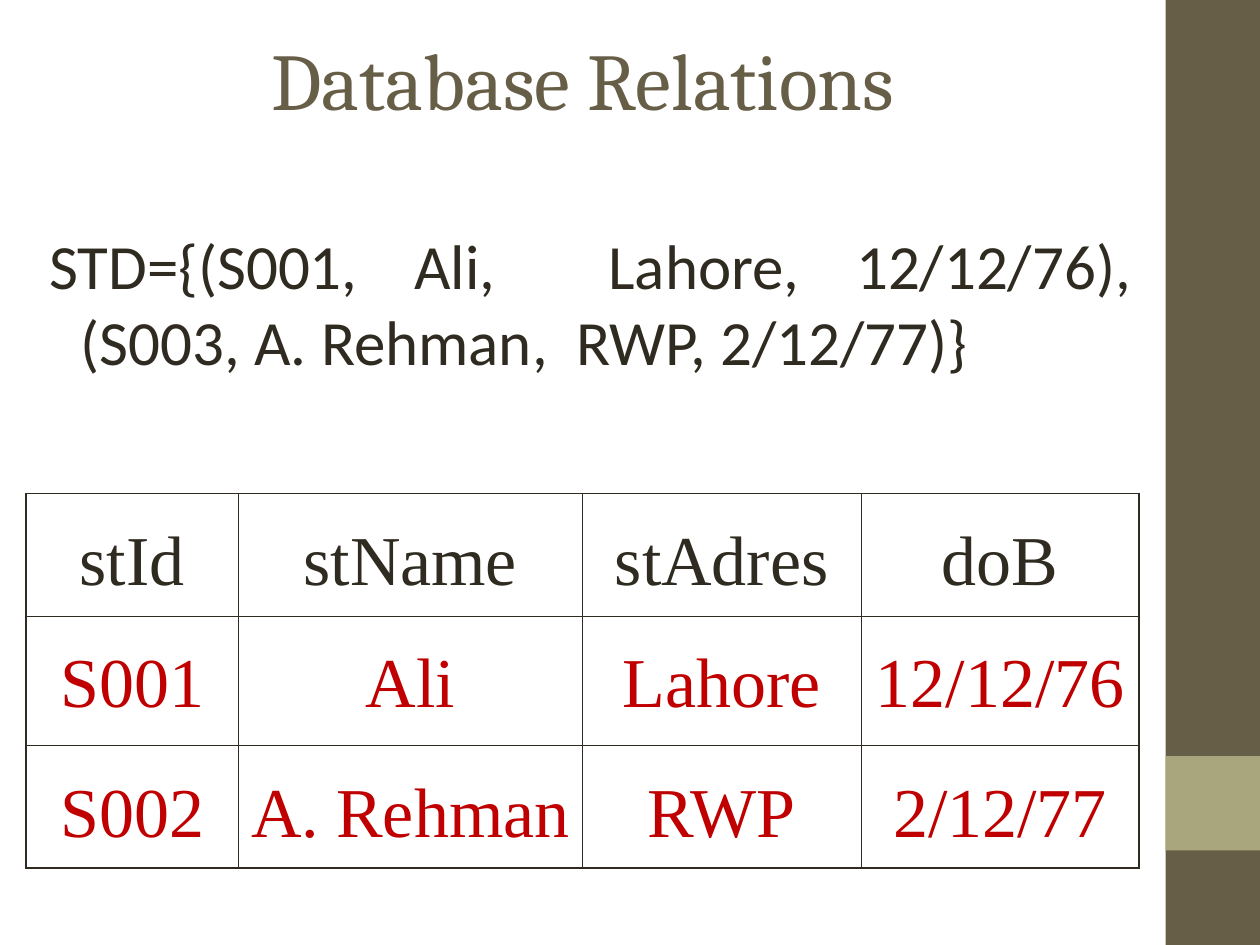
from dataclasses import dataclass

from lxml import etree
from pptx import Presentation
from pptx.dml.color import RGBColor
from pptx.enum.shapes import MSO_SHAPE
from pptx.enum.text import MSO_ANCHOR, PP_ALIGN
from pptx.oxml.ns import qn
from pptx.util import Pt

RECT = MSO_SHAPE.RECTANGLE
TOP, MIDDLE = MSO_ANCHOR.TOP, MSO_ANCHOR.MIDDLE
CENTER, JUSTIFY = PP_ALIGN.CENTER, PP_ALIGN.JUSTIFY
TITLE_ONLY = 5


@dataclass(frozen=True)
class Theme:
    brown: str = "675E47"
    olive: str = "A9A57C"
    ink: str = "2F2B20"
    red: str = "C00000"
    title_font: str = "Cambria"
    body_font: str = "Calibri"
    table_font: str = "Times New Roman"
    title_size: int = 46
    body_size: int = 36
    table_size: int = 40
    outer_line: float = 1.08
    inner_line: float = 0.45


THEME = Theme()


def set_text(tf, text, name, size, color, **para_format):
    """Write one paragraph and format it."""
    p = tf.paragraphs[0]
    r = p.add_run()
    r.text = text
    for key, value in {"alignment": CENTER, **para_format}.items():
        setattr(p, key, value)
    for key, value in {"name": name, "size": Pt(size), "bold": False}.items():
        setattr(r.font, key, value)
    r.font.color.rgb = RGBColor.from_string(color)
    return p


def add_bar(s, top, height, color):
    sp = s.shapes.add_shape(RECT, Pt(666), Pt(top), Pt(54), Pt(height))
    sp.shadow.inherit = False
    sp.fill.solid()
    sp.fill.fore_color.rgb = RGBColor.from_string(color)
    sp.line.fill.background()


def add_title(s, text):
    sp = s.shapes.title
    sp.left, sp.top, sp.width, sp.height = Pt(36), Pt(0), Pt(594), Pt(90)
    sp.text_frame.vertical_anchor = MIDDLE
    set_text(sp.text_frame, text, THEME.title_font, THEME.title_size, THEME.brown)


def add_body(s, text):
    tf = s.shapes.add_textbox(Pt(12), Pt(126), Pt(642), Pt(138)).text_frame
    tf.word_wrap = True
    tf.vertical_anchor = TOP
    p = set_text(tf, text, THEME.body_font, THEME.body_size, THEME.ink,
                 alignment=JUSTIFY)
    # Hanging indent
    pPr = p._p.get_or_add_pPr()
    pPr.set("marL", str(Pt(27)))
    pPr.set("indent", str(Pt(-18)))


def set_borders(cell, outer_edges):
    """Draw all four borders, heavier on the table's outer edges."""
    tcPr = cell._tc.get_or_add_tcPr()
    for edge, is_outer in outer_edges.items():
        width = THEME.outer_line if is_outer else THEME.inner_line
        ln = etree.SubElement(tcPr, qn(f"a:ln{edge}"), w=str(Pt(width)))
        fill = etree.SubElement(ln, qn("a:solidFill"))
        etree.SubElement(fill, qn("a:srgbClr"), val=THEME.ink)


def add_relation(s, rows, widths, heights):
    table = s.shapes.add_table(len(rows), len(widths), Pt(15), Pt(282),
                               Pt(sum(widths)), Pt(sum(heights))).table
    table.first_row = table.horz_banding = False
    for column, width in zip(table.columns, widths):
        column.width = Pt(width)
    for i, (row, height) in enumerate(zip(rows, heights)):
        table.rows[i].height = Pt(height)
        for j, text in enumerate(row):
            cell = table.cell(i, j)
            set_borders(cell, {"L": j == 0, "R": j == len(widths) - 1,
                               "T": i == 0, "B": i == len(rows) - 1})
            cell.fill.background()
            set_text(cell.text_frame, text, THEME.table_font, THEME.table_size,
                     THEME.red if i else THEME.ink, line_spacing=1.3)


def main():
    prs = Presentation()
    prs.slide_width, prs.slide_height = Pt(720), Pt(540)
    s = prs.slides.add_slide(prs.slide_layouts[TITLE_ONLY])

    # Side band
    add_bar(s, 0, 540, THEME.brown)
    add_bar(s, 432, 54, THEME.olive)

    # Title and set notation
    add_title(s, "Database Relations")
    add_body(s, "STD={(S001, Ali,  Lahore, 12/12/76), "
                "(S003, A. Rehman,  RWP, 2/12/77)}")

    # The same relation as a table
    add_relation(s, [
        ("stId", "stName", "stAdres", "doB"),
        ("S001", "Ali", "Lahore", "12/12/76"),
        ("S002", "A. Rehman", "RWP", "2/12/77"),
    ], widths=(121, 197, 159, 159), heights=(70, 74, 70))

    prs.save("out.pptx")


if __name__ == "__main__":
    main()
